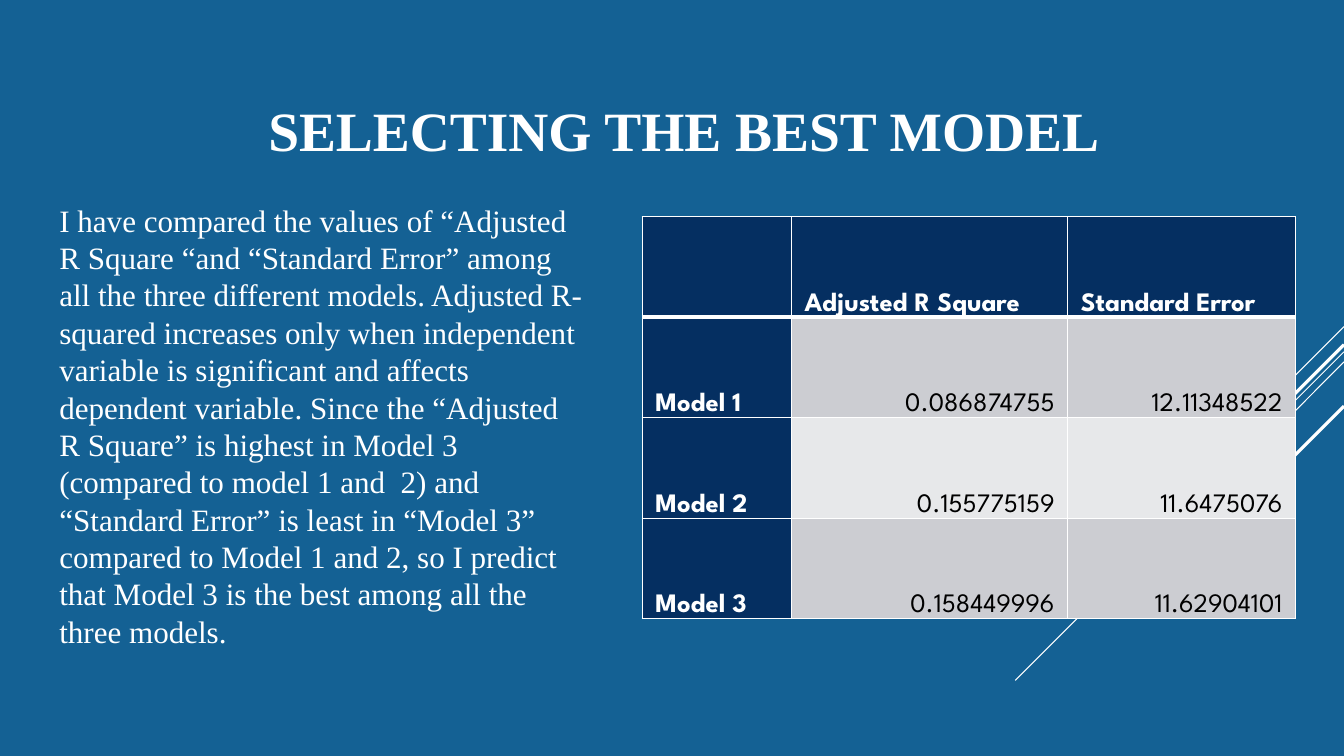
"""Builds a slide that compares three regression models in a table."""
from lxml import etree
from pptx import Presentation
from pptx.dml.color import RGBColor
from pptx.enum.shapes import MSO_CONNECTOR
from pptx.enum.text import MSO_ANCHOR, PP_ALIGN
from pptx.oxml.ns import qn
from pptx.util import Inches, Pt

STRAIGHT = MSO_CONNECTOR.STRAIGHT
MIDDLE, BOTTOM = MSO_ANCHOR.MIDDLE, MSO_ANCHOR.BOTTOM
LEFT, CENTER, RIGHT = PP_ALIGN.LEFT, PP_ALIGN.CENTER, PP_ALIGN.RIGHT

BLUE = RGBColor(0x14, 0x61, 0x94)
NAVY = RGBColor(0x05, 0x2F, 0x61)
GREY = RGBColor(0xCC, 0xCD, 0xD2)
PALE = RGBColor(0xE7, 0xE8, 0xEA)
WHITE = RGBColor(0xFF, 0xFF, 0xFF)
BLACK = RGBColor(0x00, 0x00, 0x00)

SERIF, SANS = "Times New Roman", "League Spartan"
SLIDE_WIDTH = 13.33

TITLE = "SELECTING THE BEST MODEL"
BODY = (
    "I have compared the values of “Adjusted R Square “and “Standard Error” "
    "among all the three different models. Adjusted R-squared increases only "
    "when independent variable is significant and affects dependent variable. "
    "Since the “Adjusted R Square” is highest in Model 3 (compared to model 1 "
    "and  2) and “Standard Error” is least in “Model 3” compared to Model 1 "
    "and 2, so I predict that Model 3 is the best among all the three models."
)
RESULTS = [
    ("", "Adjusted R Square", "Standard Error"),
    ("Model 1", "0.086874755", "12.11348522"),
    ("Model 2", "0.155775159", "11.6475076"),
    ("Model 3", "0.158449996", "11.62904101"),
]
COLUMN_WIDTHS = (1.48, 2.74, 2.26)
DIAGONALS = [
    (3.24, 12.33, 4.24, 0.75),
    (3.49, 10.07, 6.75, 0.75),
    (3.59, 11.26, 5.67, 0.75),
    (3.42, 11.42, 5.33, 2.25),
    (4.03, 11.94, 5.42, 2.25),
]


def set_font(font, name, size, color, bold=False):
    """Set the face, size, colour and weight of a font."""
    font.name, font.size, font.bold = name, Pt(size), bold
    font.color.rgb = color


def add_diagonal(page, start_y, end_x, end_y, weight):
    """Draw a white line from the right edge down to the left."""
    line = page.shapes.add_connector(
        STRAIGHT, Inches(SLIDE_WIDTH), Inches(start_y), Inches(end_x), Inches(end_y)
    )
    line.line.color.rgb = WHITE
    line.line.width = Pt(weight)
    etree.SubElement(line._element.spPr, qn("a:effectLst"))


def add_text(page, text, bounds, bottom_inset, size, align=LEFT, bold=False):
    """Add a wrapped white text box and return its paragraph."""
    box = page.shapes.add_textbox(*map(Inches, bounds))
    frame = box.text_frame
    frame.word_wrap = True
    frame.vertical_anchor = MIDDLE
    frame.margin_bottom = Inches(bottom_inset)
    para = frame.paragraphs[0]
    para.text = text
    para.alignment = align
    set_font(para.font, SERIF, size, WHITE, bold)
    return para


def add_borders(cell, bottom_weight):
    """Draw white borders around a cell."""
    properties = cell._tc.get_or_add_tcPr()
    for side in "LRTB":
        weight = bottom_weight if side == "B" else 1
        border = etree.SubElement(properties, qn(f"a:ln{side}"), w=str(Pt(weight)))
        fill = etree.SubElement(border, qn("a:solidFill"))
        etree.SubElement(fill, qn("a:srgbClr"), val=str(WHITE))


def style_cell(cell, text, row, column):
    """Fill a cell as a heading or as a value, by its place."""
    heading = row == 0 or column == 0
    add_borders(cell, 3 if row == 0 else 1)
    cell.fill.solid()
    cell.fill.fore_color.rgb = NAVY if heading else GREY if row % 2 else PALE
    cell.vertical_anchor = BOTTOM
    cell.margin_left = cell.margin_right = Inches(0.13)
    cell.margin_top = cell.margin_bottom = Inches(0)
    para = cell.text_frame.paragraphs[0]
    para.text = text
    para.alignment = LEFT if heading else RIGHT
    para.line_spacing = 1.07
    set_font(para.font, SANS, 19, WHITE if heading else BLACK, heading)


def add_results(page):
    """Add the table of model results."""
    bounds = map(Inches, (6.37, 2.15, sum(COLUMN_WIDTHS), 3.99))
    table = page.shapes.add_table(len(RESULTS), len(COLUMN_WIDTHS), *bounds).table
    table.horz_banding = False
    for column, width in zip(table.columns, COLUMN_WIDTHS):
        column.width = Inches(width)
    for row, texts in enumerate(RESULTS):
        for column, text in enumerate(texts):
            style_cell(table.cell(row, column), text, row, column)


def main():
    """Build the slide and save the deck."""
    deck = Presentation()
    deck.slide_width, deck.slide_height = Inches(SLIDE_WIDTH), Inches(7.5)
    page = deck.slides.add_slide(deck.slide_layouts[6])
    page.background.fill.solid()
    page.background.fill.fore_color.rgb = BLUE
    for diagonal in DIAGONALS:
        add_diagonal(page, *diagonal)
    add_text(page, TITLE, (1.15, 0.83, 11.27, 1.45), 0.59, 39.6, CENTER, True)
    body = add_text(page, BODY, (0.49, 2.28, 5.39, 4.34), 0.51, 22.2)
    body.line_spacing = Pt(26.7)
    add_results(page)
    deck.save("out.pptx")


if __name__ == "__main__":
    main()
